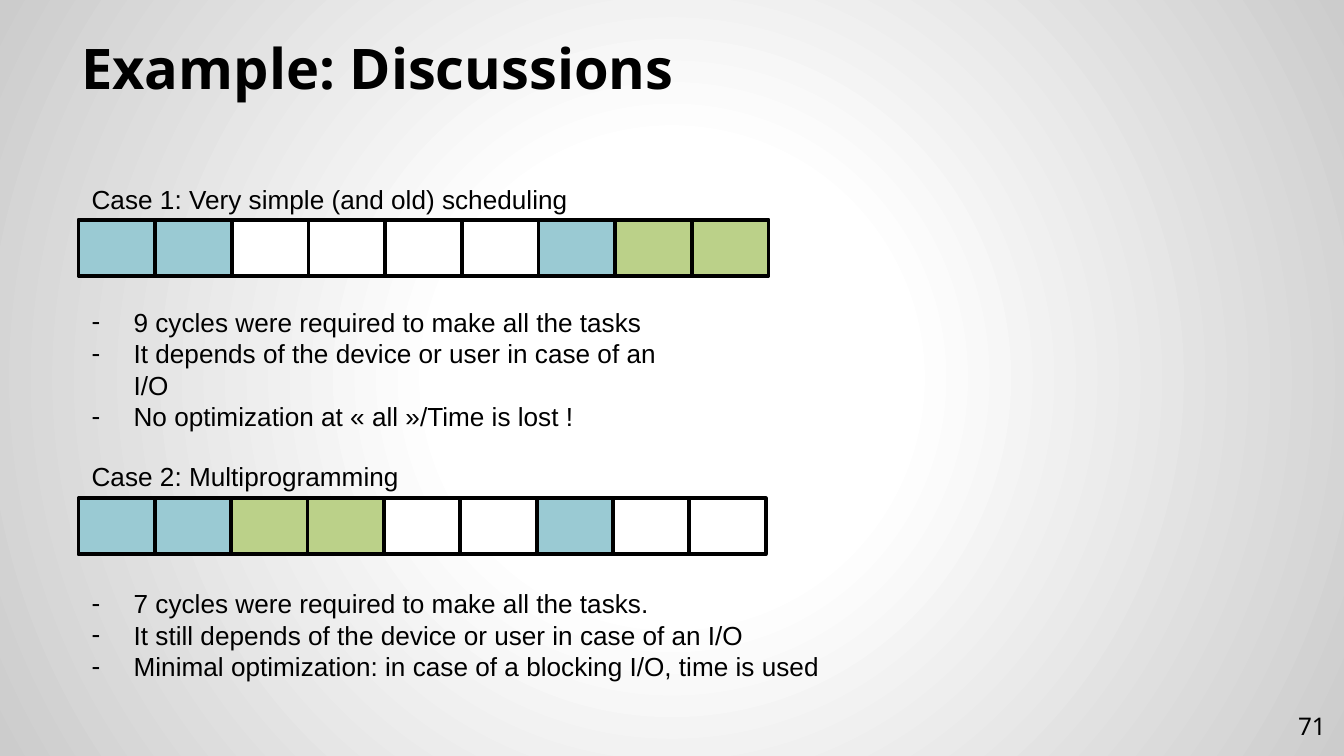
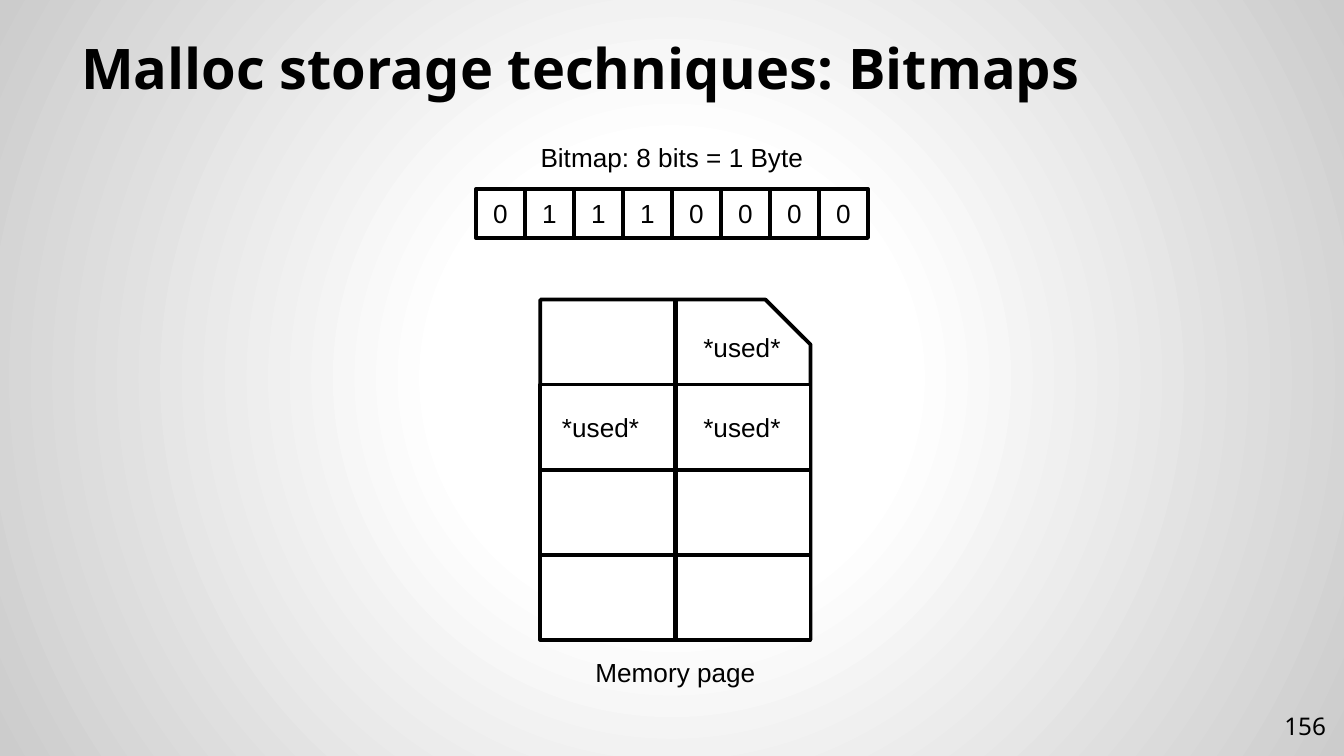
"""Build two operating-system lecture slides: scheduling cases and malloc bitmaps."""

from dataclasses import dataclass
from typing import NamedTuple

from lxml.etree import SubElement
from pptx import Presentation
from pptx.dml.color import RGBColor
from pptx.enum.shapes import MSO_CONNECTOR, MSO_SHAPE
from pptx.enum.text import MSO_ANCHOR, MSO_AUTO_SIZE, PP_ALIGN
from pptx.oxml import parse_xml
from pptx.oxml.ns import nsdecls, qn
from pptx.util import Emu, Pt

EMU_PER_PX = 9525


@dataclass(frozen=True)
class Theme:
    """Colours, fonts and sizes shared by the slides."""

    ink: str = "000000"
    paper: str = "FFFFFF"
    edge: str = "CCCCCC"
    first_task: str = "9ACAD3"
    second_task: str = "BBD189"
    heading_font: str = "Noto Sans"
    body_font: str = "Arial"
    title_size: int = 30
    number_size: int = 13
    body_size: int = 14
    outline: float = 2
    divider: float = 2.25
    label_height: int = 33
    bullet_indent: int = 30


THEME = Theme()


class Box(NamedTuple):
    """A rectangle in px."""

    left: float
    top: float
    width: float
    height: float


@dataclass(frozen=True)
class SchedulingCase:
    """A labelled timeline of cycles with its remarks."""

    label: Box
    title: str
    timeline: Box
    cycles: str
    remarks_box: Box
    remarks: tuple[str, ...]


TITLE_BOX = Box(48, 22, 864, 60)
NUMBER_BOX = Box(899, 498, 58, 41)
CYCLE_COLOURS = {"A": THEME.first_task, "B": THEME.second_task, "-": THEME.paper}
CASES = (
    SchedulingCase(
        Box(56, 126, 424, THEME.label_height),
        "Case 1: Very simple (and old) scheduling",
        Box(56, 157, 493, 40),
        "AA----ABB",
        Box(56, 214, 450, 78),
        (
            "9 cycles were required to make all the tasks",
            "It depends of the device or user in case of an I/O",
            "No optimization at « all »/Time is lost !",
        ),
    ),
    SchedulingCase(
        Box(56, 324, 383, THEME.label_height),
        "Case 2: Multiprogramming",
        Box(56, 356, 491, 40),
        "AABB--A--",
        Box(56, 415, 578, 78),
        (
            "7 cycles were required to make all the tasks.",
            "It still depends of the device or user in case of an I/O",
            "Minimal optimization: in case of a blocking I/O, time is used",
        ),
    ),
)
BITMAP_BOX = Box(340, 135, 280, 35)
BITMAP_LABEL = Box(340, 96, 280, THEME.label_height)
BITS = "01110000"
PAGE_BOX = Box(386, 214, 193, 243)
PAGE_LABEL = Box(386, 464, 193, THEME.label_height)
PAGE_ROWS = 4
USED_BLOCKS = tuple(
    Box(left, top, 96, THEME.label_height)
    for left, top in ((482, 232), (381, 289), (482, 289))
)


def px(length: float) -> Emu:
    """Turn px into EMU."""
    return Emu(round(length * EMU_PER_PX))


def place(box: Box) -> tuple[Emu, ...]:
    """Turn a box into EMU arguments."""
    return tuple(px(length) for length in box)


def split_columns(box: Box, count: int) -> list[Box]:
    """Split a box into equal columns."""
    width = box.width / count
    return [box._replace(left=box.left + i * width, width=width) for i in range(count)]


def split_rows(box: Box, count: int) -> list[Box]:
    """Split a box into equal rows."""
    height = box.height / count
    return [box._replace(top=box.top + i * height, height=height) for i in range(count)]


def add_dash(paragraph) -> None:
    """Give a paragraph a hanging dash bullet."""
    properties = paragraph._p.get_or_add_pPr()
    indent = px(THEME.bullet_indent)
    properties.set("marL", str(indent))
    properties.set("indent", str(-indent))
    colour = SubElement(properties, qn("a:buClr"))
    SubElement(colour, qn("a:srgbClr"), val=THEME.ink)
    SubElement(properties, qn("a:buFont"), typeface=THEME.body_font)
    SubElement(properties, qn("a:buChar"), char="-")


def write(
    shape,
    *lines: str,
    size: int = THEME.body_size,
    font: str = THEME.body_font,
    bold: bool = False,
    align: PP_ALIGN = PP_ALIGN.LEFT,
    anchor: MSO_ANCHOR = MSO_ANCHOR.TOP,
    inset: int | None = None,
    dashes: bool = False,
) -> None:
    """Write formatted paragraphs into a shape."""
    frame = shape.text_frame
    frame.word_wrap = True
    frame.vertical_anchor = anchor
    if inset is not None:
        frame.margin_left = frame.margin_right = px(inset)
        frame.margin_top = frame.margin_bottom = px(inset)
    for index, line in enumerate(lines):
        paragraph = frame.add_paragraph() if index else frame.paragraphs[0]
        paragraph.alignment = align
        if dashes:
            add_dash(paragraph)
        run = paragraph.add_run()
        run.text = line
        run.font.size = Pt(size)
        run.font.name = font
        run.font.bold = bold
        run.font.color.rgb = RGBColor.from_string(THEME.ink)


def add_label(shapes, box: Box, *lines: str, **text_format) -> None:
    """Add a text box that grows with its text."""
    label = shapes.add_textbox(*place(box))
    write(label, *lines, **text_format)
    label.text_frame.auto_size = MSO_AUTO_SIZE.SHAPE_TO_FIT_TEXT


def add_cell(shapes, box: Box, fill: str = THEME.paper, kind: MSO_SHAPE = MSO_SHAPE.RECTANGLE):
    """Add an outlined, filled shape."""
    cell = shapes.add_shape(kind, *place(box))
    cell.shadow.inherit = False
    cell.fill.solid()
    cell.fill.fore_color.rgb = RGBColor.from_string(fill)
    cell.line.color.rgb = RGBColor.from_string(THEME.ink)
    cell.line.width = Pt(THEME.outline)
    return cell


def add_divider(shapes, upper, lower) -> None:
    """Join the top of one shape to the bottom of another."""
    divider = shapes.add_connector(MSO_CONNECTOR.STRAIGHT, 0, 0, 0, 0)
    divider.begin_connect(upper, 0)
    divider.end_connect(lower, 2)
    divider.line.color.rgb = RGBColor.from_string(THEME.ink)
    divider.line.width = Pt(THEME.divider)
    SubElement(divider._element.spPr, qn("a:effectLst"))


def set_background(presentation) -> None:
    """Give the master a radial gradient background."""
    master = presentation.slide_master
    master.background.fill.gradient()
    gradient = master.element.xpath("./p:cSld/p:bg/p:bgPr/a:gradFill")[0]
    stops = ((0, THEME.paper), (30, THEME.paper), (100, THEME.edge))
    stop_list = "".join(
        f'<a:gs pos="{position * 1000}"><a:srgbClr val="{colour}"/></a:gs>'
        for position, colour in stops
    )
    radial = parse_xml(
        f'<a:gradFill {nsdecls("a")} rotWithShape="1"><a:gsLst>{stop_list}</a:gsLst>'
        '<a:path path="circle"><a:fillToRect l="50000" t="50000" r="50000" b="50000"/>'
        "</a:path></a:gradFill>"
    )
    gradient.getparent().replace(gradient, radial)


def add_slide(presentation, title: str, number: int):
    """Add a blank slide with its title and number."""
    slide = presentation.slides.add_slide(presentation.slide_layouts[6])
    write(
        slide.shapes.add_textbox(*place(TITLE_BOX)),
        title,
        size=THEME.title_size,
        font=THEME.heading_font,
        bold=True,
        anchor=MSO_ANCHOR.BOTTOM,
        inset=10,
    )
    write(
        slide.shapes.add_textbox(*place(NUMBER_BOX)),
        str(number),
        size=THEME.number_size,
        font=THEME.heading_font,
        align=PP_ALIGN.RIGHT,
        anchor=MSO_ANCHOR.MIDDLE,
        inset=10,
    )
    return slide


def add_case(slide, case: SchedulingCase) -> None:
    """Draw one scheduling case."""
    timeline = slide.shapes.add_group_shape().shapes
    for box, cycle in zip(split_columns(case.timeline, len(case.cycles)), case.cycles):
        add_cell(timeline, box, CYCLE_COLOURS[cycle])
    add_label(slide.shapes, case.label, case.title)
    add_label(slide.shapes, case.remarks_box, *case.remarks, dashes=True)


def add_bitmap(slide) -> None:
    """Draw the row of bits with its label."""
    bitmap = slide.shapes.add_group_shape().shapes
    for box, bit in zip(split_columns(BITMAP_BOX, len(BITS)), BITS):
        write(add_cell(bitmap, box), bit, align=PP_ALIGN.CENTER, anchor=MSO_ANCHOR.MIDDLE)
    add_label(bitmap, BITMAP_LABEL, "Bitmap: 8 bits = 1 Byte", align=PP_ALIGN.CENTER)


def add_memory_page(slide) -> None:
    """Draw the memory page with its blocks."""
    blocks = slide.shapes.add_group_shape().shapes
    page = add_cell(blocks, PAGE_BOX, kind=MSO_SHAPE.SNIP_1_RECTANGLE)
    rows = [add_cell(blocks, box) for box in split_rows(PAGE_BOX, PAGE_ROWS)[1:]]
    add_divider(blocks, page, rows[-1])
    for box in USED_BLOCKS:
        add_label(blocks, box, "*used*", align=PP_ALIGN.CENTER)
    add_label(blocks, PAGE_LABEL, "Memory page", align=PP_ALIGN.CENTER)


def main() -> None:
    """Build and save the presentation."""
    presentation = Presentation()
    presentation.slide_width, presentation.slide_height = px(960), px(540)
    set_background(presentation)
    discussion = add_slide(presentation, "Example: Discussions", 71)
    for case in CASES:
        add_case(discussion, case)
    storage = add_slide(presentation, "Malloc storage techniques: Bitmaps", 156)
    add_bitmap(storage)
    add_memory_page(storage)
    presentation.save("out.pptx")


if __name__ == "__main__":
    main()
